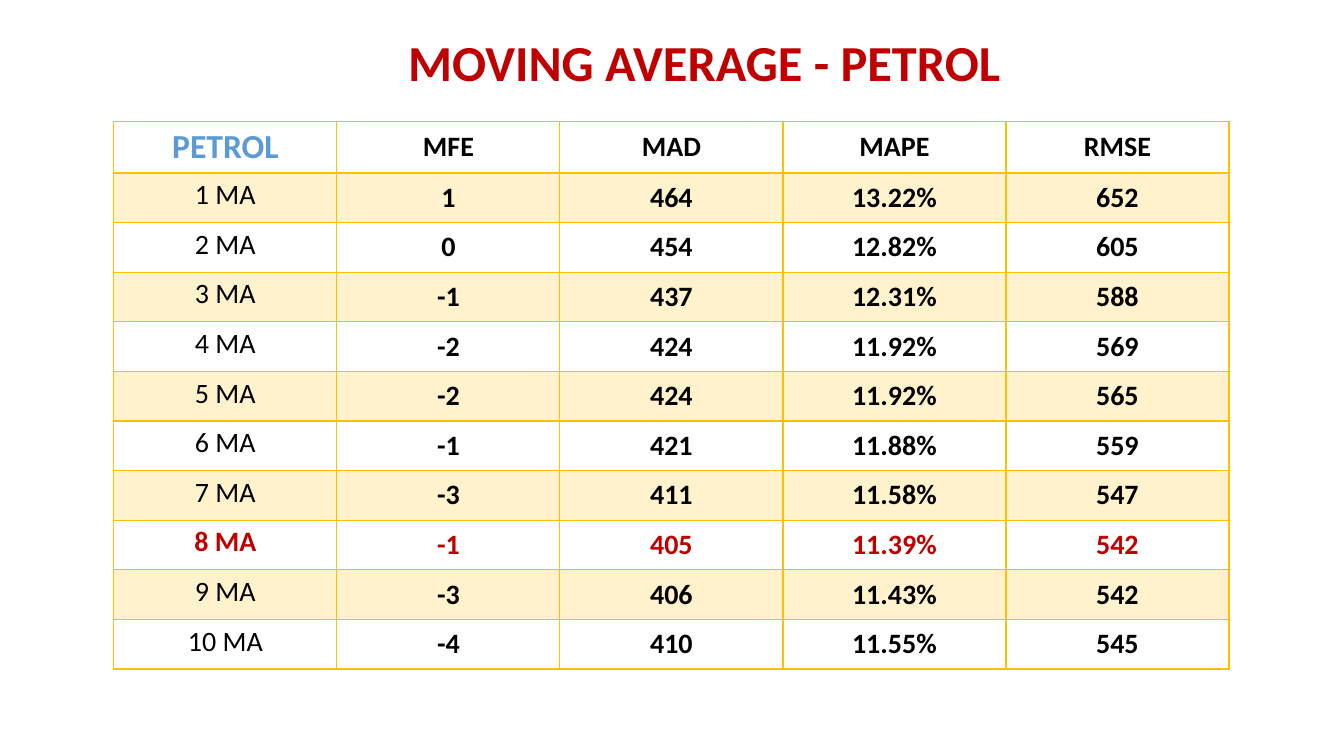
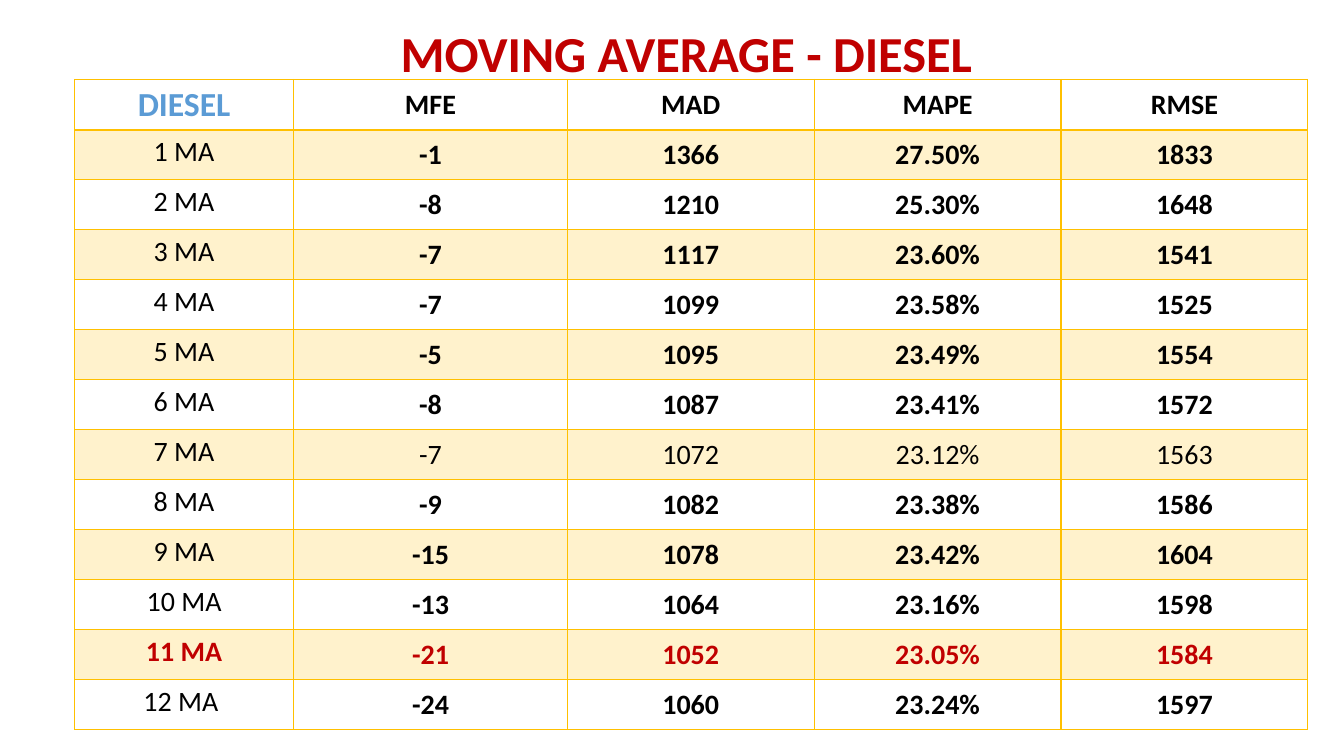
import pptx
import pptx.dml.color
import pptx.enum.text
import pptx.oxml
import pptx.oxml.ns
import pptx.util
from pptx.util import Cm

COLORS = {
    "red": "C00000",
    "blue": "5B9BD5",
    "gold": "FFC000",
    "band": "FFF2CC",
    "black": "000000",
}
FONT = "Calibri"
MEASURES = ("MFE", "MAD", "MAPE", "RMSE")

TABLES = [
    {
        "fuel": "PETROL",
        "title_at": (9.98, 0.56),
        "table_at": (2.87, 3.07),
        "columns": (5.62, 5.62, 5.62, 5.62, 5.62),
        "row_height": 1.25,
        "best": "8 MA",
        "light": None,
        "rows": [
            ("1 MA", "1", "464", "13.22%", "652"),
            ("2 MA", "0", "454", "12.82%", "605"),
            ("3 MA", "-1", "437", "12.31%", "588"),
            ("4 MA", "-2", "424", "11.92%", "569"),
            ("5 MA", "-2", "424", "11.92%", "565"),
            ("6 MA", "-1", "421", "11.88%", "559"),
            ("7 MA", "-3", "411", "11.58%", "547"),
            ("8 MA", "-1", "405", "11.39%", "542"),
            ("9 MA", "-3", "406", "11.43%", "542"),
            ("10 MA", "-4", "410", "11.55%", "545"),
        ],
    },
    {
        "fuel": "DIESEL",
        "title_at": (9.53, 0.33),
        "table_at": (1.88, 2),
        "columns": (5.52, 6.9, 6.22, 6.22, 6.22),
        "row_height": 1.26,
        "best": "11 MA",
        "light": "7 MA",
        "rows": [
            ("1 MA", "-1", "1366", "27.50%", "1833"),
            ("2 MA", "-8", "1210", "25.30%", "1648"),
            ("3 MA", "-7", "1117", "23.60%", "1541"),
            ("4 MA", "-7", "1099", "23.58%", "1525"),
            ("5 MA", "-5", "1095", "23.49%", "1554"),
            ("6 MA", "-8", "1087", "23.41%", "1572"),
            ("7 MA", "-7", "1072", "23.12%", "1563"),
            ("8 MA", "-9", "1082", "23.38%", "1586"),
            ("9 MA", "-15", "1078", "23.42%", "1604"),
            ("10 MA", "-13", "1064", "23.16%", "1598"),
            ("11 MA", "-21", "1052", "23.05%", "1584"),
            ("12 MA ", "-24", "1060", "23.24%", "1597"),
        ],
    },
]


def rgb(name):
    return pptx.dml.color.RGBColor.from_string(COLORS[name])


def write(text_frame, text, size, color, bold):
    paragraph = text_frame.paragraphs[0]
    paragraph.text = text
    paragraph.alignment = pptx.enum.text.PP_ALIGN.CENTER
    paragraph.font.name = FONT
    paragraph.font.size = pptx.util.Pt(size)
    paragraph.font.bold = bold
    paragraph.font.color.rgb = rgb(color)
    return paragraph


def add_title(slide, text, position):
    left, top = position
    shape = slide.shapes.add_textbox(Cm(left), Cm(top), Cm(15.54), Cm(2.16))
    shape.text_frame.word_wrap = True
    shape.text_frame.vertical_anchor = pptx.enum.text.MSO_ANCHOR.MIDDLE
    write(shape.text_frame, text, 36, "red", True).line_spacing = 0.9


def set_borders(cell, row_index):
    widths = {"lnL": 1, "lnR": 1, "lnT": 2 if row_index == 1 else 1, "lnB": 2 if row_index == 0 else 1}
    properties = cell._tc.get_or_add_tcPr()
    for edge, width in widths.items():
        properties.append(pptx.oxml.parse_xml(
            f'<a:{edge} {pptx.oxml.ns.nsdecls("a")} w="{pptx.util.Pt(width)}">'
            f'<a:solidFill><a:srgbClr val="{COLORS["gold"]}"/></a:solidFill></a:{edge}>'
        ))


def text_style(content, row_index, column_index, label):
    if row_index == 0:
        return (24, "blue", True) if column_index == 0 else (20, "black", True)
    if label == content["best"]:
        return 20, "red", True
    return 20, "black", column_index > 0 and label != content["light"]


def add_table(slide, content):
    rows = [(content["fuel"], *MEASURES), *content["rows"]]
    left, top = content["table_at"]
    columns, row_height = content["columns"], content["row_height"]
    table = slide.shapes.add_table(
        len(rows), len(columns), Cm(left), Cm(top), Cm(sum(columns)), Cm(row_height * len(rows))
    ).table
    table.first_row = False
    table.horz_banding = False
    for column, width in zip(table.columns, columns):
        column.width = Cm(width)
    for row_index, values in enumerate(rows):
        table.rows[row_index].height = Cm(row_height)
        for column_index, value in enumerate(values):
            cell = table.cell(row_index, column_index)
            set_borders(cell, row_index)
            if row_index % 2:
                cell.fill.solid()
                cell.fill.fore_color.rgb = rgb("band")
            else:
                cell.fill.background()
            if column_index:
                cell.vertical_anchor = pptx.enum.text.MSO_ANCHOR.MIDDLE
                cell.margin_left = cell.margin_right = cell.margin_top = cell.margin_bottom = 0
            write(cell.text_frame, value, *text_style(content, row_index, column_index, values[0]))


def main():
    presentation = pptx.Presentation()
    presentation.slide_width = Cm(33.87)
    presentation.slide_height = Cm(19.05)
    for content in TABLES:
        slide = presentation.slides.add_slide(presentation.slide_layouts[6])
        add_table(slide, content)
        add_title(slide, f"MOVING AVERAGE - {content['fuel']}", content["title_at"])
    presentation.save("out.pptx")


if __name__ == "__main__":
    main()
